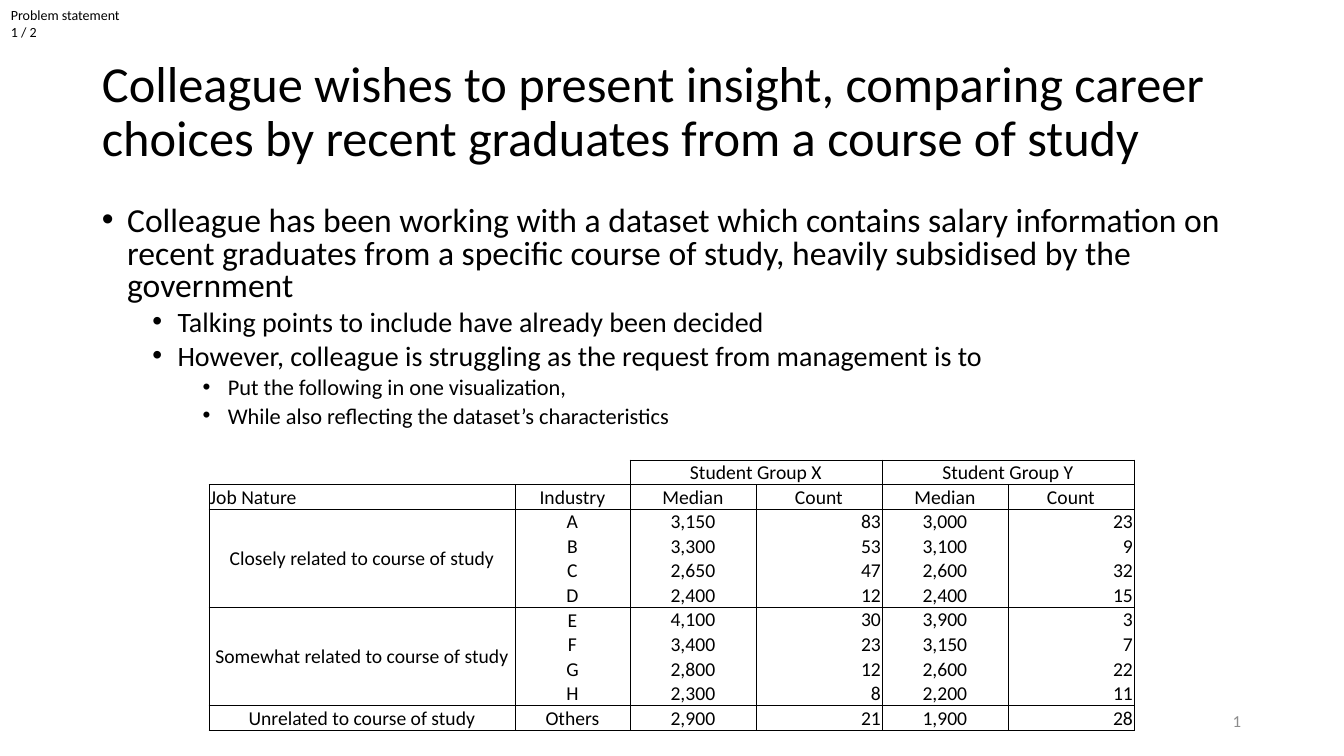
from lxml import etree
from pptx import Presentation
from pptx import util as u
from pptx.dml.color import RGBColor
from pptx.enum import text
from pptx.oxml.ns import qn

EMU_PER_PX = 914400 / 100.8
BLACK = RGBColor(0x00, 0x00, 0x00)
GRAY = RGBColor(0x8C, 0x8C, 0x8C)
FONT = "Calibri"
LEFT, CENTER, RIGHT = text.PP_ALIGN.LEFT, text.PP_ALIGN.CENTER, text.PP_ALIGN.RIGHT
TOP, MIDDLE, BOTTOM = text.MSO_ANCHOR.TOP, text.MSO_ANCHOR.MIDDLE, text.MSO_ANCHOR.BOTTOM

TITLE = ("Colleague wishes to present insight, comparing career choices "
         "by recent graduates from a course of study")
BULLETS = [
    (0, "Colleague has been working with a dataset which contains salary information "
        "on recent graduates from a specific course of study, heavily subsidised by the government"),
    (1, "Talking points to include have already been decided"),
    (1, "However, colleague is struggling as the request from management is to"),
    (2, "Put the following in one visualization,"),
    (2, "While also reflecting the dataset’s characteristics"),
]
BULLET_SIZES = [24, 20, 16]

STUDENT_GROUPS = ["Student Group X", "Student Group Y"]
HEADINGS = ["Job Nature", "Industry"] + ["Median", "Count"] * 2
JOB_NATURES = [
    ("Closely related to course of study", [
        ("A", "3,150", "83", "3,000", "23"),
        ("B", "3,300", "53", "3,100", "9"),
        ("C", "2,650", "47", "2,600", "32"),
        ("D", "2,400", "12", "2,400", "15"),
    ]),
    ("Somewhat related to course of study", [
        ("E", "4,100", "30", "3,900", "3"),
        ("F", "3,400", "23", "3,150", "7"),
        ("G", "2,800", "12", "2,600", "22"),
        ("H", "2,300", "8", "2,200", "11"),
    ]),
    ("Unrelated to course of study", [
        ("Others", "2,900", "21", "1,900", "28"),
    ]),
]
COLUMN_WIDTHS = [306, 115, 126, 126, 126, 126]
ROW_HEIGHT = 24


def px(n):
    return u.Emu(round(n * EMU_PER_PX))


def add_run(p, words, size, color=BLACK):
    r = p.add_run()
    r.text = words
    r.font.size = u.Pt(size)
    r.font.name = FONT
    r.font.color.rgb = color


def add_text_frame(s, box, anchor=TOP):
    tf = s.shapes.add_textbox(*map(px, box)).text_frame
    tf.word_wrap = True
    tf.vertical_anchor = anchor
    return tf


def add_section_label(s, box):
    tf = add_text_frame(s, box)
    add_run(tf.paragraphs[0], "Problem statement", 10)
    add_run(tf.add_paragraph(), "1 / 2", 10)


def add_title(s, box):
    p = add_text_frame(s, box, MIDDLE).paragraphs[0]
    p.line_spacing = 0.9
    add_run(p, TITLE, 36)


def add_bullets(s, box):
    tf = add_text_frame(s, box)
    for i, (level, words) in enumerate(BULLETS):
        p = tf.add_paragraph() if i else tf.paragraphs[0]
        p.level = level
        p.line_spacing = 0.8
        p.space_before = u.Pt(5 if level else 10)
        pPr = p._p.get_or_add_pPr()
        pPr.set("marL", str(u.Inches(0.25 + 0.5 * level)))
        pPr.set("indent", str(u.Inches(-0.25)))
        etree.SubElement(pPr, qn("a:buFont")).set("typeface", "Arial")
        etree.SubElement(pPr, qn("a:buChar")).set("char", "•")
        add_run(p, words, BULLET_SIZES[level])


def set_borders(cell, sides):
    tcPr = cell._tc.get_or_add_tcPr()
    for i, side in enumerate("LRTB"):
        ln = etree.Element(qn("a:ln" + side), w=str(u.Pt(0.5)))
        if side in sides:
            fill = etree.SubElement(ln, qn("a:solidFill"))
            etree.SubElement(fill, qn("a:srgbClr")).set("val", str(BLACK))
        else:
            etree.SubElement(ln, qn("a:noFill"))
        tcPr.insert(i, ln)


def format_cell(cell, sides):
    cell.fill.background()
    cell.margin_left = cell.margin_right = cell.margin_top = px(1)
    cell.margin_bottom = 0
    set_borders(cell, sides)
    end = etree.SubElement(cell.text_frame.paragraphs[0]._p, qn("a:endParaRPr"))
    end.set("sz", "1400")


def fill_cell(cell, words, align=CENTER, anchor=MIDDLE):
    cell.vertical_anchor = anchor
    p = cell.text_frame.paragraphs[0]
    p.alignment = align
    add_run(p, words, 14)


def add_salary_table(s, left, top):
    n_rows = 2 + sum(len(rows) for _, rows in JOB_NATURES)
    n_cols = len(COLUMN_WIDTHS)
    table = s.shapes.add_table(n_rows, n_cols, px(left), px(top),
                               px(sum(COLUMN_WIDTHS)), px(n_rows * ROW_HEIGHT)).table
    table.first_row = table.horz_banding = False
    for column, width in zip(table.columns, COLUMN_WIDTHS):
        column.width = px(width)
    for row in table.rows:
        row.height = px(ROW_HEIGHT)

    for c, sides in enumerate(["B", "RB"] + ["LRTB"] * 4):
        format_cell(table.cell(0, c), sides)
    for i, group in enumerate(STUDENT_GROUPS):
        c = 2 + 2 * i
        table.cell(0, c).merge(table.cell(0, c + 1))
        fill_cell(table.cell(0, c), group)

    for c, heading in enumerate(HEADINGS):
        format_cell(table.cell(1, c), "LRTB")
        align, anchor = (CENTER, MIDDLE) if c else (LEFT, BOTTOM)
        fill_cell(table.cell(1, c), heading, align, anchor)

    first = 2
    for nature, rows in JOB_NATURES:
        last = first + len(rows) - 1
        for r, values in enumerate(rows, first):
            sides = "LR" + "T" * (r == first) + "B" * (r == last)
            for c in range(n_cols):
                format_cell(table.cell(r, c), sides)
            for c, value in enumerate(values, 1):
                fill_cell(table.cell(r, c), value,
                          RIGHT if c in (3, 5) else CENTER,
                          MIDDLE if c == 1 else BOTTOM)
        if last > first:
            table.cell(first, 0).merge(table.cell(last, 0))
        fill_cell(table.cell(first, 0), nature)
        first = last + 1


def add_page_number(s, box):
    p = add_text_frame(s, box, MIDDLE).paragraphs[0]
    p.alignment = RIGHT
    add_run(p, "1", 12, GRAY)


def main():
    prs = Presentation()
    prs.slide_width, prs.slide_height = px(1344), px(756)
    s = prs.slides.add_slide(prs.slide_layouts[6])
    add_title(s, (92, 40, 1159, 146))
    add_bullets(s, (92, 202, 1159, 480))
    add_section_label(s, (1, 2, 142, 44))
    add_salary_table(s, 209, 460)
    add_page_number(s, (949, 701, 302, 40))
    prs.save("out.pptx")


if __name__ == "__main__":
    main()
